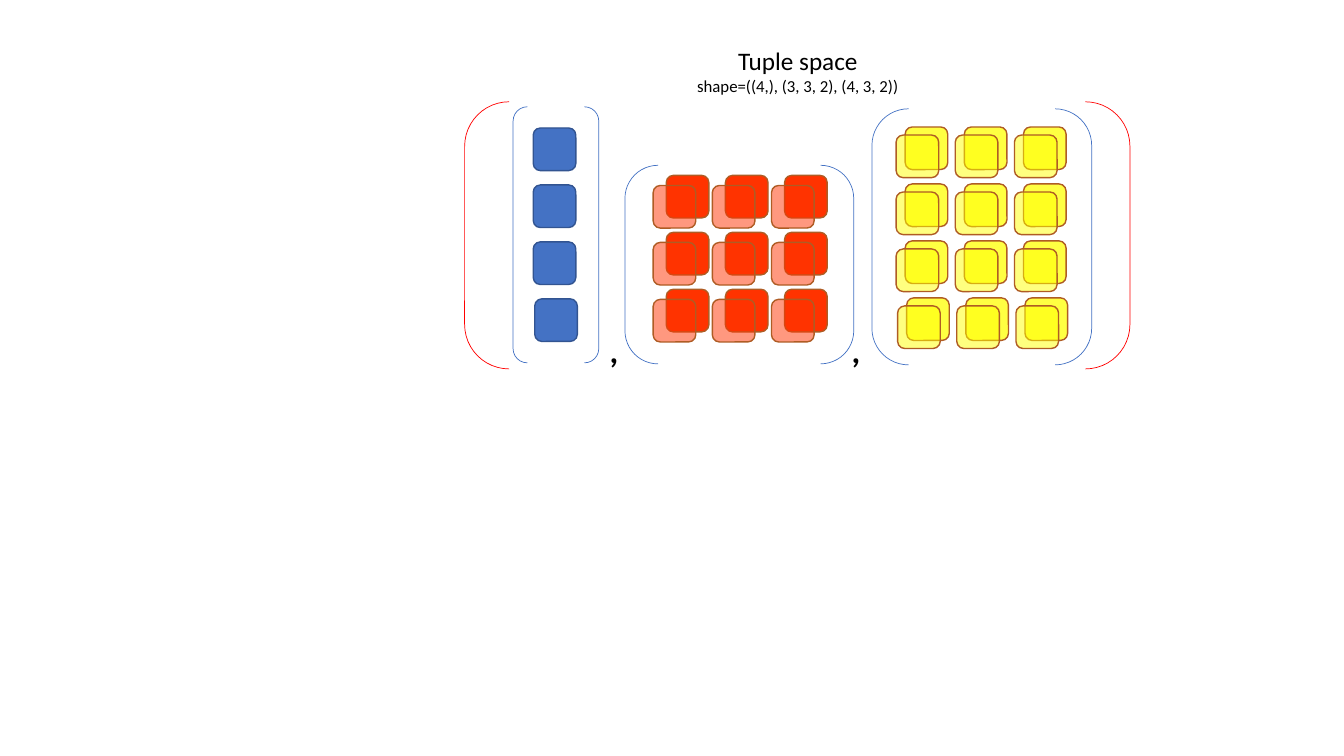
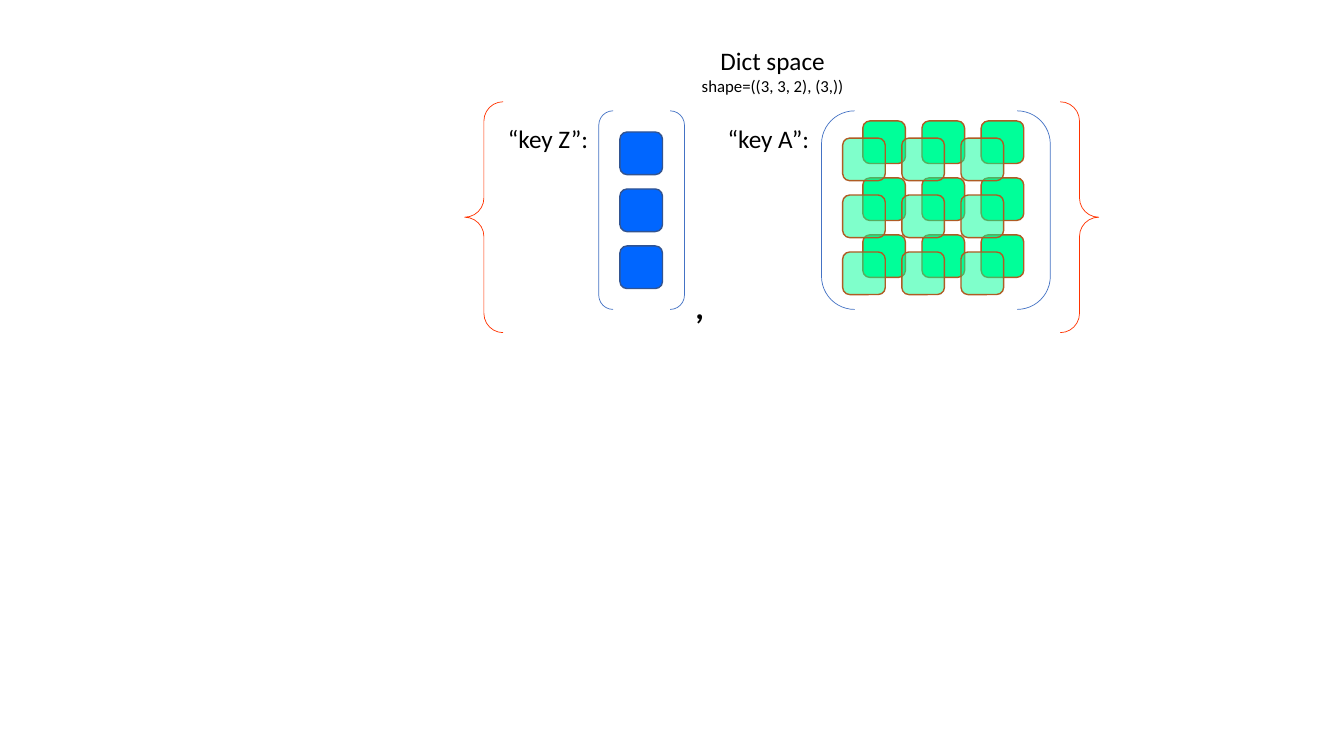
from itertools import product
from lxml.etree import SubElement
from pptx import Presentation
from pptx.dml.color import RGBColor
from pptx.enum.shapes import MSO_SHAPE
from pptx.enum.text import MSO_ANCHOR, MSO_AUTO_SIZE, PP_ALIGN
from pptx.oxml.ns import qn
from pptx.util import Inches, Pt

WIDE, HIGH = 133.33, 75
TILE, STEP_X, STEP_Y, NUDGE = 4.23, 5.87, 5.65, 0.15
FONT, BLACK = "Calibri", "000000"
BLUE, NAVY, BROWN = "4472C4", "325491", "AF5C24"
RED, FIRE, GOLD, SKY, MINT = "FF0000", "FF3300", "FFFF00", "0066FF", "00FF99"


def grid(*cells):
    return [Inches(cell / 10) for cell in cells]


def color(code):
    return RGBColor.from_string(code)


def shape(host, kind, box, rim, width, fill=None, alpha=100):
    item = host.shapes.add_shape(kind, *grid(*box))
    item.shadow.inherit = False
    if fill:
        item.fill.solid()
        item.fill.fore_color.rgb = color(fill)
        if alpha < 100:
            tint = next(item.element.iter(qn("a:srgbClr")))
            SubElement(tint, qn("a:alpha")).set("val", str(alpha * 1000))
    else:
        item.fill.background()
    item.line.color.rgb = color(rim)
    item.line.width = Pt(width)


def write(frame, lines, align, bold=False):
    frame.word_wrap = False
    frame.auto_size = MSO_AUTO_SIZE.NONE
    frame.vertical_anchor = MSO_ANCHOR.TOP
    for index, (text, size) in enumerate(lines):
        para = frame.add_paragraph() if index else frame.paragraphs[0]
        para.alignment = align
        run = para.add_run()
        run.text = text
        run.font.name = FONT
        run.font.size = Pt(size)
        run.font.bold = bold
        run.font.color.rgb = color(BLACK)


def title(page, box, name, dims):
    head = page.shapes.title
    head.left, head.top, head.width, head.height = grid(*box)
    write(head.text_frame, [(name, 18), (dims, 12)], PP_ALIGN.CENTER)


def label(page, box, text, size=18, bold=False):
    note = page.shapes.add_textbox(*grid(*box))
    write(note.text_frame, [(text, size)], PP_ALIGN.LEFT, bold)


def comma(page, left, top):
    label(page, (left, top, 2.9, 5), ",", 24, True)


def tiles(host, left, top, rows, cols, fill, rim, alpha=100):
    for col, row in product(range(cols), range(rows)):
        slip = NUDGE if row == 3 else 0
        box = (left + col * STEP_X + slip, top + row * STEP_Y, TILE, TILE)
        shape(host, MSO_SHAPE.ROUNDED_RECTANGLE, box, rim, 1, fill, alpha)


def array(page, box, rows, cols, fill, rim, layers):
    group = page.shapes.add_group_shape()
    shape(group, MSO_SHAPE.DOUBLE_BRACKET, box, BLUE, 0.5)
    for left, top, alpha in layers:
        tiles(group, left, top, rows, cols, fill, rim, alpha)


def tuples(page):
    title(page, (68, 4, 22.3, 6.1), "Tuple space", "shape=((4,), (3, 3, 2), (4, 3, 2))")
    shape(page, MSO_SHAPE.DOUBLE_BRACKET, (46.1, 10.1, 66, 26.5), RED, 0.5)
    array(page, (50.9, 10.6, 8.5, 25.4), 4, 1, BLUE, NAVY, [(52.9, 12.7, 100)])
    comma(page, 59.5, 32.2)
    array(page, (62, 16.4, 22.7, 19.7), 3, 3, FIRE, BROWN,
          [(66.1, 17.4, 100), (64.8, 18.4, 50)])
    comma(page, 83.5, 32.2)
    array(page, (86.5, 10.8, 21.8, 25.4), 4, 3, GOLD, BROWN,
          [(89.8, 12.6, 74), (88.9, 13.4, 50)])


def dicts(page):
    title(page, (68.5, 4, 16.3, 6.1), "Dict space", "shape=((3, 3, 2), (3,))")
    shape(page, MSO_SHAPE.DOUBLE_BRACE, (46.1, 10.1, 62.9, 22.9), FIRE, 0.5)
    label(page, (49.4, 11.7, 10.6, 4), "“key Z”:")
    array(page, (59.4, 11, 8.5, 19.7), 3, 1, SKY, NAVY, [(61.5, 13.1, 100)])
    comma(page, 68, 27.9)
    label(page, (71.2, 11.7, 10.8, 4), "“key A”:")
    array(page, (81.5, 11, 22.7, 19.7), 3, 3, MINT, BROWN,
          [(85.6, 12, 100), (83.6, 13.7, 50)])


def main():
    deck = Presentation()
    deck.slide_width, deck.slide_height = grid(WIDE, HIGH)
    for draw in (tuples, dicts):
        draw(deck.slides.add_slide(deck.slide_layouts[5]))
    deck.save("out.pptx")


if __name__ == "__main__":
    main()
